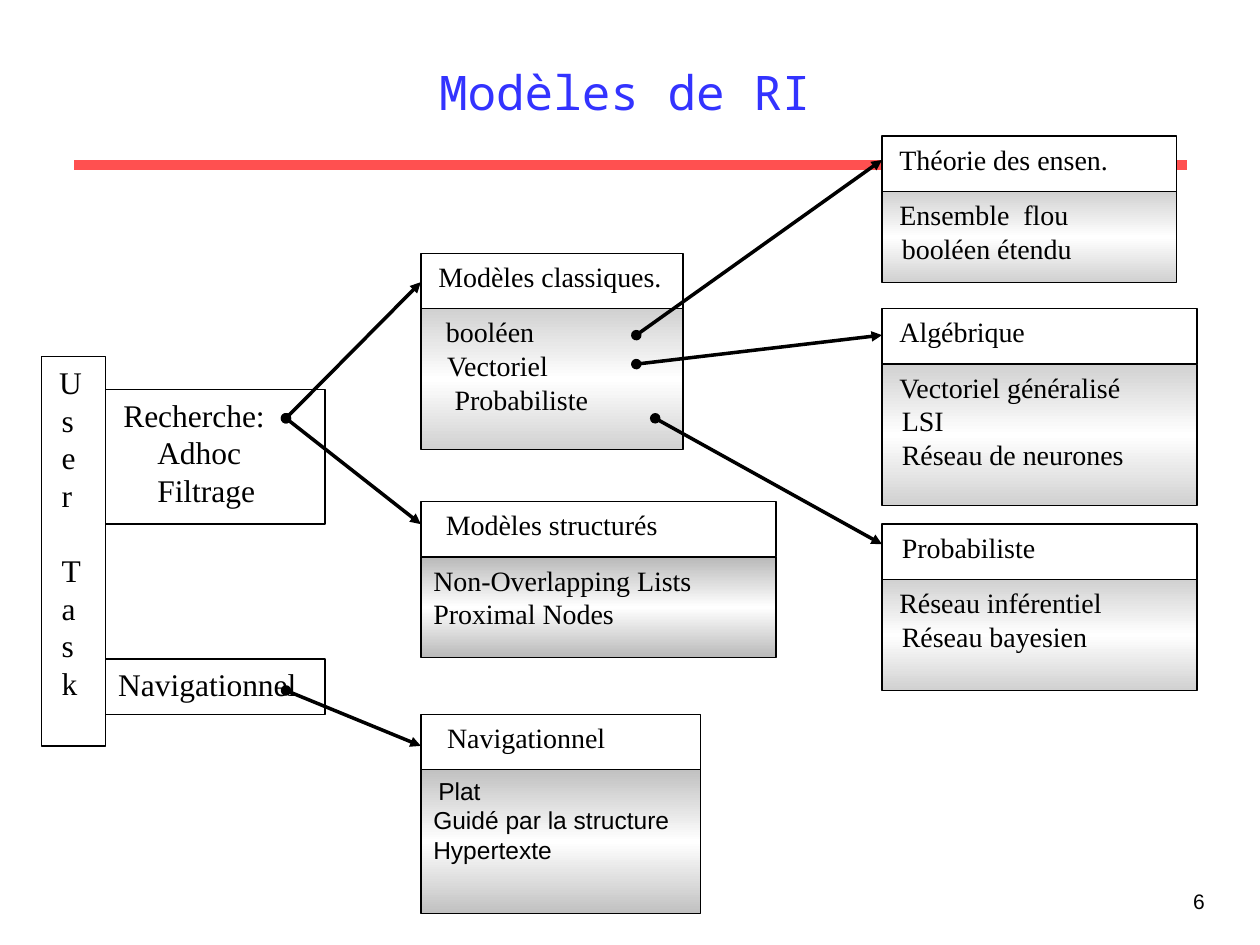
import pptx
import pptx.util
import pptx.dml.color
import pptx.enum.shapes
import pptx.enum.text
import pptx.oxml.ns
import lxml.etree

Inches, Pt = pptx.util.Inches, pptx.util.Pt
Align = pptx.enum.text.PP_ALIGN
Anchor = pptx.enum.text.MSO_ANCHOR
qn = pptx.oxml.ns.qn
hues = {"ink": "000000", "paper": "FFFFFF", "rule": "FF5050", "title": "3333FF",
        "light": "D1D1D1", "mid": "C1C1C1", "dark": "B9B9B9"}
rgb = {name: pptx.dml.color.RGBColor.from_string(hue) for name, hue in hues.items()}

deck = pptx.Presentation()
deck.slide_width, deck.slide_height = Inches(10), Inches(7.5)
slide = deck.slides.add_slide(deck.slide_layouts[5])
shapes = slide.shapes


def add_box(left, top, width, height, lines, size, shade="paper", face="Times New Roman"):
    """Draw a box; each line is a pair of indent in inches and text."""
    box = shapes.add_shape(pptx.enum.shapes.MSO_SHAPE.RECTANGLE,
                           Inches(left), Inches(top), Inches(width), Inches(height))
    box.shadow.inherit = False
    box.line.color.rgb = rgb["ink"]
    box.line.width = Pt(0.75)
    if shade == "paper":
        box.fill.solid()
        box.fill.fore_color.rgb = rgb["paper"]
    else:
        box.fill.gradient()
        box.fill.gradient_angle = 270
        stops = box.fill._fill._gradFill.find(qn("a:gsLst"))
        for stop in list(stops):
            stops.remove(stop)
        for spot, name in ((0, shade), (50000, "paper"), (100000, shade)):
            stop = lxml.etree.SubElement(stops, qn("a:gs"), pos=str(spot))
            lxml.etree.SubElement(stop, qn("a:srgbClr"), val=hues[name])
    frame = box.text_frame
    frame.word_wrap = True
    frame.vertical_anchor = Anchor.TOP
    for i, (indent, text) in enumerate(lines):
        para = frame.add_paragraph() if i else frame.paragraphs[0]
        para.text = text
        para.alignment = Align.LEFT
        para.font.name, para.font.size = face, Pt(size)
        para.font.color.rgb = rgb["ink"]
        para._p.get_or_add_pPr().set("marL", str(Inches(indent)))
    return box


def add_line(start, end, hue, width):
    link = shapes.add_connector(pptx.enum.shapes.MSO_CONNECTOR.STRAIGHT,
                                *[Inches(v) for v in start + end])
    link.line.color.rgb = rgb[hue]
    link.line.width = Pt(width)
    lxml.etree.SubElement(link._element.spPr, qn("a:effectLst"))
    return link


# Title and red rule
add_line((0.59, 1.31), (9.42, 1.31), "rule", 6)
title = shapes.title
title.left, title.top = Inches(0.67), Inches(0.42)
title.width, title.height = Inches(8.58), Inches(0.59)
title.text_frame.text = "Modèles de RI"
title.text_frame.vertical_anchor = Anchor.BOTTOM
head = title.text_frame.paragraphs[0]
head.alignment = Align.CENTER
head.line_spacing = 0.9
head.font.name, head.font.size = "Noto Sans Mono", Pt(27.2)
head.font.color.rgb = rgb["title"]

# User task column and its two branches
add_box(0.84, 3.09, 1.74, 1.07,
        [(0.04, "Recherche:"), (0.31, "Adhoc"), (0.31, "Filtrage")], 18)
add_box(0.84, 5.23, 1.74, 0.44, [(0, "Navigationnel")], 18)
task = add_box(0.33, 2.83, 0.51, 3.09,
               [(0.04 if c == "U" else 0.06, c) for c in "UserTask"], 18)
task.text_frame.paragraphs[4].space_before = Pt(21)

# Model panels: left, top, width, body height, shade, body font, body size, heading, lines
serif = ("Times New Roman", 16)
panels = [
    (3.34, 3.98, 2.82, 0.8, "dark", serif, (0.1, "Modèles structurés"),
     [(0, "Non-Overlapping Lists"), (0, "Proximal Nodes")]),
    (3.34, 2.01, 2.08, 1.12, "light", serif, (0.04, "Modèles classiques."),
     [(0.1, "booléen"), (0.11, "Vectoriel"), (0.17, "Probabiliste")]),
    (7, 1.08, 2.34, 0.72, "light", serif, (0.04, "Théorie des ensen."),
     [(0.04, "Ensemble  flou"), (0.06, "booléen étendu")]),
    (7, 4.16, 2.5, 0.88, "light", serif, (0.06, "Probabiliste"),
     [(0.04, "Réseau inférentiel"), (0.06, "Réseau bayesien")]),
    (7, 2.45, 2.5, 1.12, "light", serif, (0.04, "Algébrique"),
     [(0.04, "Vectoriel généralisé"), (0.06, "LSI"), (0.06, "Réseau de neurones")]),
    (3.34, 5.67, 2.22, 1.14, "mid", ("Arial", 14), (0.11, "Navigationnel"),
     [(0.04, "Plat"), (0, "Guidé par la structure Hypertexte")]),
]
for left, top, width, height, shade, (face, size), name, lines in panels:
    add_box(left, top, width, 0.44, [name], 16)
    add_box(left, top + 0.44, width, height, lines, size, shade, face)

# Arrows
arrows = [
    ((5.05, 2.66), (7, 1.27)), ((5.05, 2.89), (7, 2.66)), ((5.2, 3.32), (7, 4.32)),
    ((2.27, 3.32), (3.34, 2.24)), ((2.27, 3.32), (3.34, 4.16)), ((2.27, 5.48), (3.34, 5.92)),
]
for start, end in arrows:
    arrow = add_line(start, end, "ink", 2)
    for tag, kind in (("a:headEnd", "oval"), ("a:tailEnd", "triangle")):
        lxml.etree.SubElement(arrow.line._get_or_add_ln(), qn(tag), type=kind)

# Slide number
page = shapes.add_textbox(Inches(7.58), Inches(7), Inches(2.08), Inches(0.5)).text_frame
page.word_wrap = True
page.text = "6"
digit = page.paragraphs[0]
digit.alignment = Align.RIGHT
digit.font.name, digit.font.size = "Arial", Pt(12)
digit.font.color.rgb = rgb["ink"]

deck.save("out.pptx")
